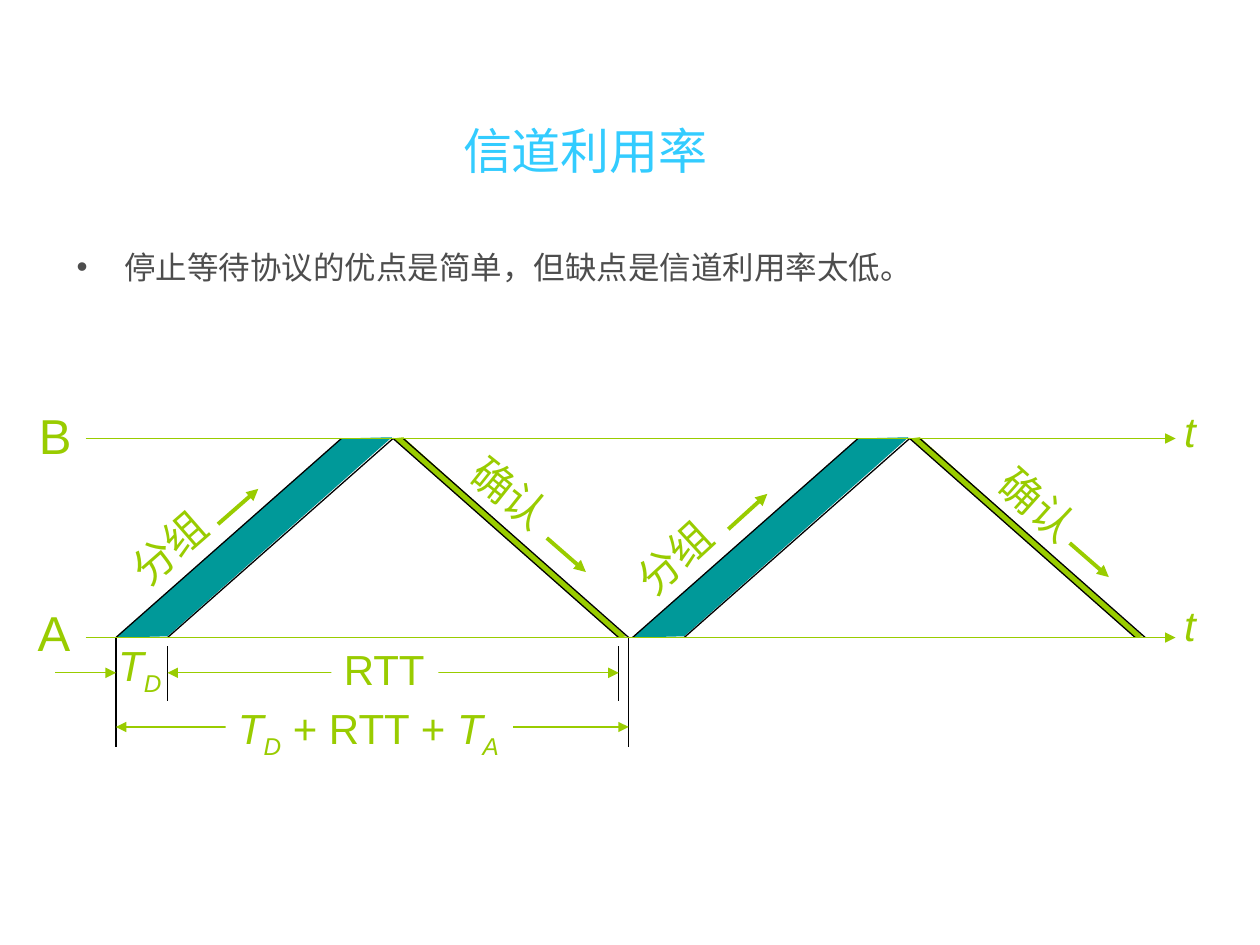
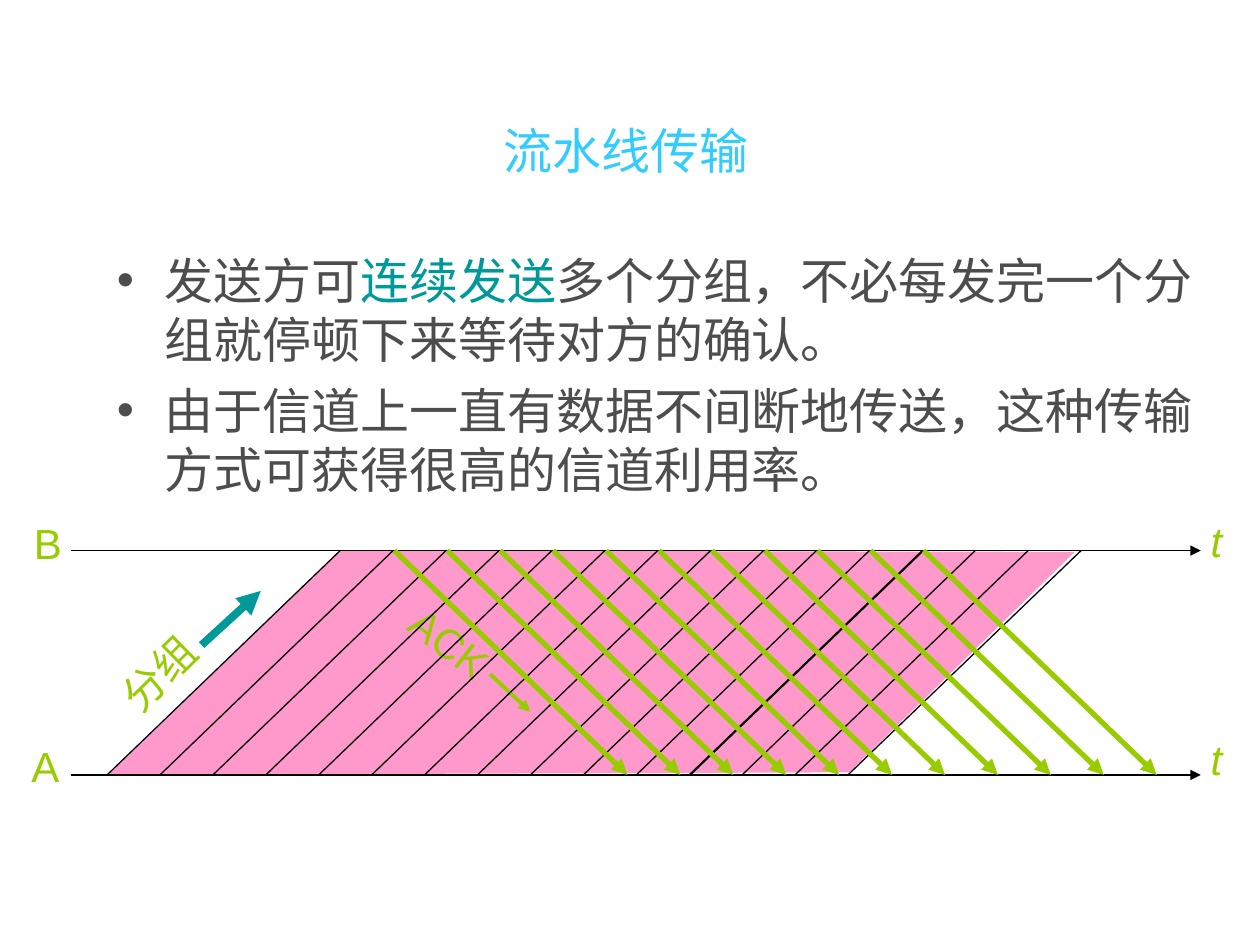
from lxml import etree
from pptx import Presentation
from pptx import util as u
from pptx.dml.color import RGBColor
from pptx.enum import shapes, text
from pptx.oxml import ns

PX = 9144  # 100 px to the inch
FONT = "Arial"
C = {"title": "33CCFF", "body": "4D4D4D", "green": "99CC00", "teal": "009999",
     "pink": "FF99CC", "black": "000000", "white": "FFFFFF"}
C = {name: RGBColor.from_string(value) for name, value in C.items()}


def line(s, x1, y1, x2, y2, color="black", width=0.75, ends=()):
    c = s.shapes.add_connector(shapes.MSO_CONNECTOR.STRAIGHT,
                               *(v * PX for v in (x1, y1, x2, y2)))
    c.line.color.rgb = C[color]
    c.line.width = u.Pt(width)
    ln = c.line._get_or_add_ln()
    for end in ends:
        etree.SubElement(ln, ns.qn(f"a:{end}"), type="triangle")
    etree.SubElement(c._element.spPr, ns.qn("a:effectLst"))


def label(s, x, y, w, h, runs, size=24, rotation=0, fill=None):
    """Runs are (text, style) pairs; style holds i for italic, s for subscript."""
    sp = s.shapes.add_textbox(x * PX, y * PX, w * PX, h * PX)
    sp.rotation = rotation
    if fill:
        sp.fill.solid()
        sp.fill.fore_color.rgb = C[fill]
    tf = sp.text_frame
    tf.word_wrap = False
    tf.auto_size = text.MSO_AUTO_SIZE.SHAPE_TO_FIT_TEXT
    if rotation:  # turned text wraps at the box width, so give it all of it
        tf.auto_size = text.MSO_AUTO_SIZE.NONE
        tf.margin_left = tf.margin_right = 0
        tf.paragraphs[0].alignment = text.PP_ALIGN.CENTER
    for words, style in runs:
        r = tf.paragraphs[0].add_run()
        r.text = words
        r.font.name, r.font.size = FONT, u.Pt(size)
        r.font.italic = "i" in style
        r.font.color.rgb = C["green"]
        if "s" in style:
            r._r.get_or_add_rPr().set("baseline", "-25000")


prs = Presentation()
prs.slide_width, prs.slide_height = 1000 * PX, 750 * PX

# Titles and bullets: title, its width, body box, size, space before, paragraphs
PAGES = [
    ("信道利用率 ", 836, (51, 192, 900, 147), 18, 4.5,
     [[("停止等待协议的优点是简单，但缺点是信道利用率太低。", "body")]]),
    ("流水线传输 ", 900, (83, 194, 881, 228), 28, 7,
     [[("发送方可", "body"), ("连续发送", "teal"),
       ("多个分组，不必每发完一个分组就停顿下来等待对方的确认。", "body")],
      [("由于信道上一直有数据不间断地传送，这种传输方式可获得很高的信道利用率。", "body")]]),
]
for title, width, box, size, space, paragraphs in PAGES:
    s = prs.slides.add_slide(prs.slide_layouts[5])
    sp = s.shapes.title
    sp.left, sp.top, sp.width, sp.height = 51 * PX, 84 * PX, width * PX, 70 * PX
    tf = sp.text_frame
    tf.auto_size = text.MSO_AUTO_SIZE.NONE
    tf.vertical_anchor = text.MSO_ANCHOR.MIDDLE
    p = tf.paragraphs[0]
    p.alignment = text.PP_ALIGN.CENTER
    r = p.add_run()
    r.text = title
    r.font.name, r.font.size = FONT, u.Pt(28)
    r.font.color.rgb = C["title"]

    tf = s.shapes.add_textbox(*(v * PX for v in box)).text_frame
    tf.word_wrap = True
    for i, runs in enumerate(paragraphs):
        p = tf.add_paragraph() if i else tf.paragraphs[0]
        pPr = p._p.get_or_add_pPr()
        pPr.set("marL", str(38 * PX))
        pPr.set("indent", str(-38 * PX))
        clr = etree.SubElement(pPr, ns.qn("a:buClr"))
        etree.SubElement(clr, ns.qn("a:srgbClr"), val=str(C["body"]))
        etree.SubElement(pPr, ns.qn("a:buFont"), typeface=FONT)
        etree.SubElement(pPr, ns.qn("a:buChar"), char="•")
        if i:
            p.space_before = u.Pt(space)
        for words, color in runs:
            r = p.add_run()
            r.text = words
            r.font.name, r.font.size = FONT, u.Pt(size)
            r.font.color.rgb = C[color]

stop_wait, pipeline = prs.slides
CYCLES = (0, 410)  # left shift of each stop-and-wait cycle

# Filled bands of packets and acknowledgements
bands = [(pipeline, "pink", [(86, 615), (270, 437), (853, 438), (674, 613)])]
for dx in CYCLES:
    bands += [
        (stop_wait, "green", [(312 + dx, 348), (491 + dx, 506), (497 + dx, 505), (320 + dx, 347)]),
        (stop_wait, "teal", [(92 + dx, 506), (271 + dx, 348), (311 + dx, 347), (133 + dx, 505)]),
    ]
for s, color, points in bands:
    fb = s.shapes.build_freeform(*points[0], scale=PX)
    fb.add_line_segments(points[1:], close=True)
    sp = fb.convert_to_shape()
    sp.shadow.inherit = False
    sp.fill.solid()
    sp.fill.fore_color.rgb = C[color]
    sp.line.fill.background()

# Slide 1: band edges
s = stop_wait
for dx in CYCLES:
    for bottom, top in ((92, 271), (133, 312), (491, 312), (499, 320)):
        line(s, bottom + dx, 506, top + dx, 348)

# Slide 1: direction labels and arrows
for x, y, rotation, words, arrow in (
        (91, 409, 318.9, "分组", (173, 416, 205, 388)),
        (362, 366, 38.5, "确认", (434, 427, 465, 454)),
        (492, 417, 317.4, "分组", (578, 420, 609, 392)),
        (781, 375, 41.8, "确认", (849, 431, 880, 458))):
    label(s, x, y, 86, 50, [(words, "")], rotation=rotation)
    line(s, *arrow, "green", 2.25, ["tailEnd"])

# Slide 1: time measures below the axis
for x, top, bottom in ((92, 506, 593), (133, 513, 556), (491, 513, 556), (499, 506, 593)):
    line(s, x, top, x, bottom)
line(s, 44, 534, 92, 534, "green", ends=["tailEnd"])
for x1, x2, y in ((133, 491, 534), (92, 499, 577)):
    line(s, x1, y, x2, y, "green", ends=["headEnd", "tailEnd"])
label(s, 84, 503, 54, 56, [("T", "i"), ("D", "is")])
label(s, 263, 506, 85, 50, [("RTT", "")], fill="white")
label(s, 179, 553, 228, 56, [("T", "i"), ("D", "is"), (" + RTT + ", ""),
                             ("T", "i"), ("A", "is")], fill="white")

# Slide 1: time axes
for y in (348, 506):
    line(s, 68, y, 933, y, "green", ends=["tailEnd"])
label(s, 21, 317, 46, 57, [("B", "")], 28)
label(s, 20, 473, 46, 57, [("A", "")], 28)
for y in (317, 471):
    label(s, 930, y, 29, 50, [("t", "i")])

# Slide 2: time axes
s = pipeline
for y in (437, 615):
    line(s, 56, y, 953, y, ends=["tailEnd"])
label(s, 17, 406, 42, 50, [("B", "")])
label(s, 15, 583, 42, 50, [("A", "")])
for y in (404, 577):
    label(s, 951, y, 29, 50, [("t", "i")])

# Slide 2: direction labels and arrows
label(s, 83, 509, 86, 50, [("分组", "")], rotation=315.3)
line(s, 160, 512, 207, 469, "teal", 4.5, ["tailEnd"])
label(s, 313, 485, 88, 50, [("ACK", "")], rotation=37.8)
line(s, 389, 535, 421, 565, "green", 2.25, ["tailEnd"])

# Slide 2: packet edges, one of them doubled, then acknowledgements
STEP, RUN = 42, 185
for x in [85 + STEP * i for i in range(15)] + [548]:
    line(s, x, 615, x + RUN, 437)
for i in range(11):
    x = 313 + STEP * i
    line(s, x, 437, x + RUN, 615, "green", 3, ["tailEnd"])

prs.save("out.pptx")
